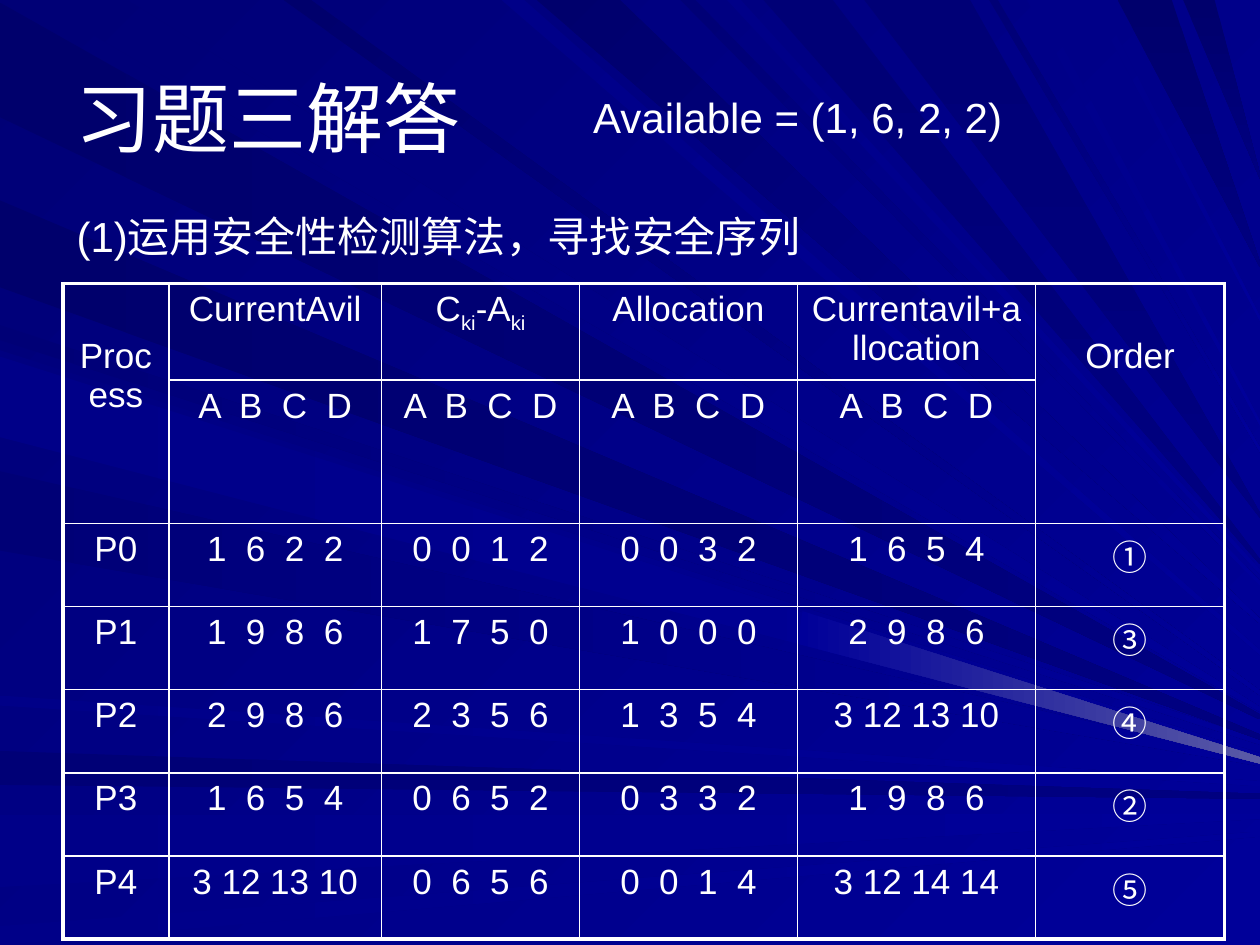
import dataclasses

import lxml.etree
import pptx
import pptx.dml.color
import pptx.enum.text
import pptx.oxml.ns
import pptx.util


@dataclasses.dataclass(frozen=True)
class Theme:
    font: str = "Arial"
    symbol_font: str = "Noto Sans CJK SC"
    ink: str = "FFFFFF"
    deep: str = "00006C"
    dim: str = "000076"
    mid: str = "000080"
    soft: str = "000088"
    bright: str = "000099"
    glint: str = "5A5AA6"
    title_size: int = 44
    body_size: int = 24
    table_size: int = 20
    inner_line: float = 1
    outer_line: float = 2.25


THEME = Theme()
ALIGN = pptx.enum.text.PP_ALIGN
ANCHOR = pptx.enum.text.MSO_ANCHOR
UNIT = 9144  # rays are plotted on a grid of hundredths of an inch
RIGHT_EDGE = 1000
TIP = 2  # half the width of a ray where it meets the right edge

# slide edge it starts on, first tone, last tone, start, end, height of the tip
RAYS = [
    ("left", THEME.deep, THEME.mid, 2, 93, 569),
    ("top", THEME.dim, THEME.bright, 26, 101, 563),
    ("left", THEME.dim, THEME.mid, 596, 623, 632),
    ("left", THEME.soft, THEME.bright, 647, 704, 648),
    ("left", THEME.soft, THEME.bright, 735, 750, 662),
    ("left", THEME.dim, THEME.bright, 258, 270, 589),
    ("left", THEME.deep, THEME.mid, 159, 228, 585),
    ("top", THEME.soft, THEME.bright, 398, 416, 518),
    ("top", THEME.deep, THEME.bright, 426, 492, 493),
    ("top", THEME.dim, THEME.bright, 540, 552, 463),
    ("top", THEME.dim, THEME.mid, 606, 661, 446),
    ("top", THEME.deep, THEME.mid, 887, 930, 210),
    ("top", THEME.deep, THEME.mid, 939, 964, 140),
    ("left", THEME.mid, THEME.bright, 278, 342, 600),
    ("left", THEME.dim, THEME.bright, 374, 437, 606),
    ("left", THEME.soft, THEME.bright, 552, 560, 622),
    ("top", THEME.deep, THEME.bright, 225, 247, 550),
    ("top", THEME.soft, THEME.bright, 577, 588, 454),
    ("top", THEME.dim, THEME.mid, 686, 770, 409),
    ("top", THEME.dim, THEME.bright, 785, 792, 357),
    ("top", THEME.soft, THEME.bright, 815, 824, 336),
    ("top", THEME.soft, THEME.bright, 865, 872, 253),
    ("left", THEME.soft, THEME.bright, 283, 347, 604),
]
GLINT = [(637, 485), (633, 511), (RIGHT_EDGE, 606), (RIGHT_EDGE, 601)]

COLUMNS = [0.84, 1.69, 1.57, 1.73, 1.89, 1.5]
ROWS = [0.72, 1.09] + [0.66] * 5
LETTERS = "A  B  C  D"
# every second part between bars is a subscript
CELLS = [
    ["Process", "CurrentAvil", "C|ki|-A|ki", "Allocation", "Currentavil+allocation", "Order"],
    ["", LETTERS, LETTERS, LETTERS, LETTERS, ""],
    ["P0", "1  6  2  2", "0  0  1  2", "0  0  3  2", "1  6  5  4", "①"],
    ["P1", "1  9  8  6", "1  7  5  0", "1  0  0  0", "2  9  8  6", "③"],
    ["P2", "2  9  8  6", "2  3  5  6", "1  3  5  4", "3 12 13 10", "④"],
    ["P3", "1  6  5  4", "0  6  5  2", "0  3  3  2", "1  9  8  6", "②"],
    ["P4", "3 12 13 10", "0  6  5  6", "0  0  1  4", "3 12 14 14", "⑤"],
]
MERGED_COLUMNS = (0, len(COLUMNS) - 1)


def rgb(code):
    return pptx.dml.color.RGBColor.from_string(code)


def paint(fill, first, last, angle):
    """Fill with a gradient at a clockwise angle."""
    fill.gradient()
    fill.gradient_angle = (360 - angle) % 360
    for stop, code in zip(fill.gradient_stops, (first, last)):
        stop.color.rgb = rgb(code)


def add_outline(page, corners, first, last, angle):
    builder = page.shapes.build_freeform(*corners[0], scale=UNIT)
    builder.add_line_segments(corners[1:], close=True)
    outline = builder.convert_to_shape()
    outline.shadow.inherit = False
    outline.line.fill.background()
    paint(outline.fill, first, last, angle)


def add_ray(page, edge, first, last, start, end, tip):
    """Draw a band that narrows from the left or top edge to the right edge."""
    tips = [(RIGHT_EDGE, tip + TIP), (RIGHT_EDGE, tip - TIP)]
    if edge == "left":
        add_outline(page, [(0, start), (0, end)] + tips, first, last, 0)
    else:
        angle = 90 if last == THEME.mid else 45
        add_outline(page, [(end, 0), (start, 0)] + tips, first, last, angle)


def style(para, size, font=THEME.font):
    para.font.size = pptx.util.Pt(size)
    para.font.name = font
    para.font.color.rgb = rgb(THEME.ink)


def add_text(page, text, place, size, anchor=ANCHOR.TOP):
    box = page.shapes.add_textbox(*map(pptx.util.Inches, place))
    box.text_frame.word_wrap = True
    box.text_frame.vertical_anchor = anchor
    para = box.text_frame.paragraphs[0]
    para.text = text
    style(para, size)


def write_cell(cell, text):
    para = cell.text_frame.paragraphs[0]
    for index, part in enumerate(text.split("|")):
        span = para.add_run()
        span.text = part
        if index % 2:
            span._r.get_or_add_rPr().set("baseline", "-25000")
    para.alignment = ALIGN.CENTER
    is_symbol = "①" <= text <= "⑤"
    style(para, THEME.table_size, THEME.symbol_font if is_symbol else THEME.font)


def set_borders(cell, outer_sides):
    """Rule all four sides, heavier on those at the table's edge."""
    qn = pptx.oxml.ns.qn
    properties = cell._tc.get_or_add_tcPr()
    for index, side in enumerate("LRTB"):
        width = THEME.outer_line if side in outer_sides else THEME.inner_line
        line = lxml.etree.Element(qn(f"a:ln{side}"), w=str(pptx.util.Pt(width)))
        fill = lxml.etree.SubElement(line, qn("a:solidFill"))
        lxml.etree.SubElement(fill, qn("a:srgbClr"), val=THEME.ink)
        properties.insert(index, line)


def add_process_table(page, left, top):
    size = (left, top, sum(COLUMNS), sum(ROWS))
    frame = page.shapes.add_table(len(ROWS), len(COLUMNS), *map(pptx.util.Inches, size))
    table = frame.table
    table.first_row = table.horz_banding = False
    for column, width in zip(table.columns, COLUMNS):
        column.width = pptx.util.Inches(width)
    for row, height in zip(table.rows, ROWS):
        row.height = pptx.util.Inches(height)
    for column in MERGED_COLUMNS:
        table.cell(0, column).merge(table.cell(1, column))
        table.cell(0, column).margin_top = pptx.util.Inches(0.42)
    for row, texts in enumerate(CELLS):
        for column, text in enumerate(texts):
            cell = table.cell(row, column)
            cell.fill.background()
            edges = {"L": column == 0, "R": column == len(COLUMNS) - 1,
                     "T": row == 0, "B": row == len(ROWS) - 1}
            set_borders(cell, [side for side, is_outer in edges.items() if is_outer])
            if text:
                write_cell(cell, text)


def main():
    deck = pptx.Presentation()
    deck.slide_width, deck.slide_height = pptx.util.Inches(10), pptx.util.Inches(7.5)
    page = deck.slides.add_slide(deck.slide_layouts[6])
    paint(page.background.fill, THEME.dim, THEME.bright, 45)
    for ray in RAYS:
        add_ray(page, *ray)
    add_outline(page, GLINT, THEME.bright, THEME.glint, 0)
    add_text(page, "习题三解答", (0.5, 0.3, 9, 1.25), THEME.title_size, ANCHOR.MIDDLE)
    add_process_table(page, 0.5, 2.25)
    add_text(page, "(1)运用安全性检测算法，寻找安全序列", (0.51, 1.62, 7.32, 0.5), THEME.body_size)
    add_text(page, "Available = (1, 6, 2, 2)", (4.61, 0.68, 3.62, 0.5), THEME.body_size)
    deck.save("out.pptx")


if __name__ == "__main__":
    main()
